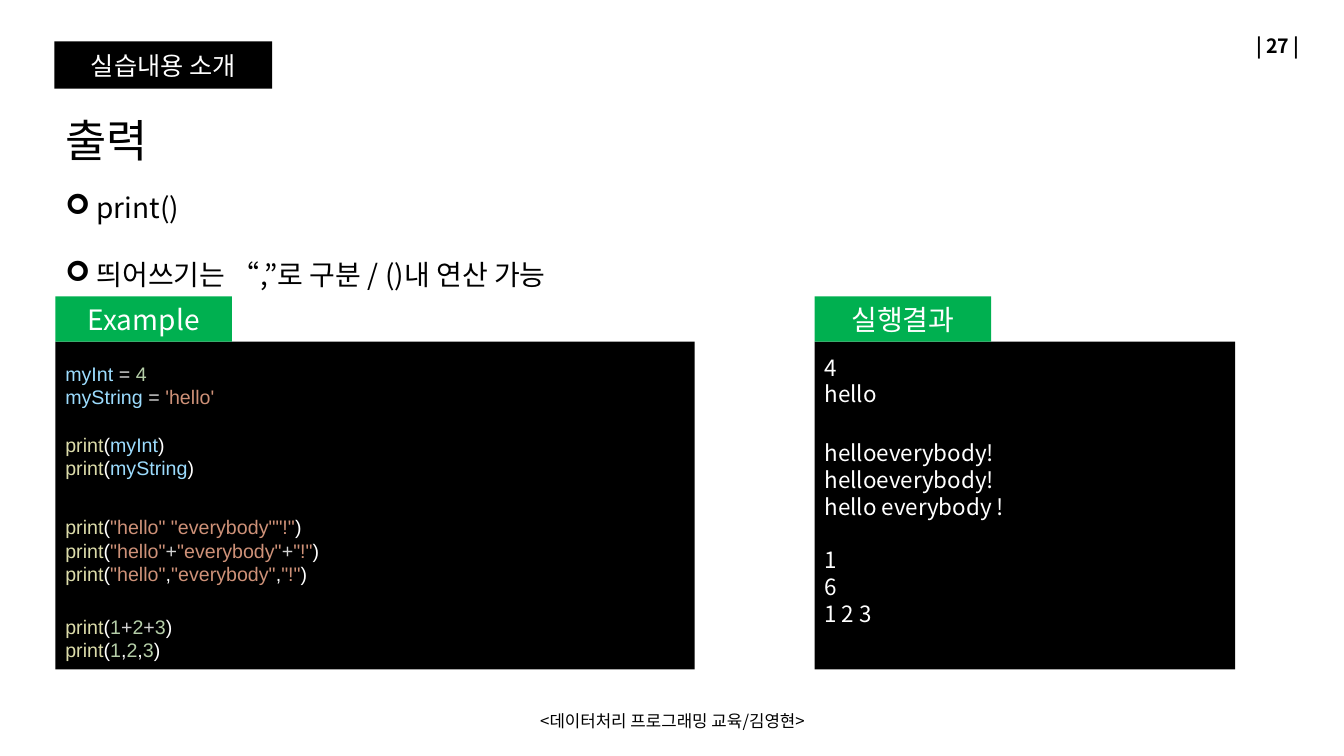
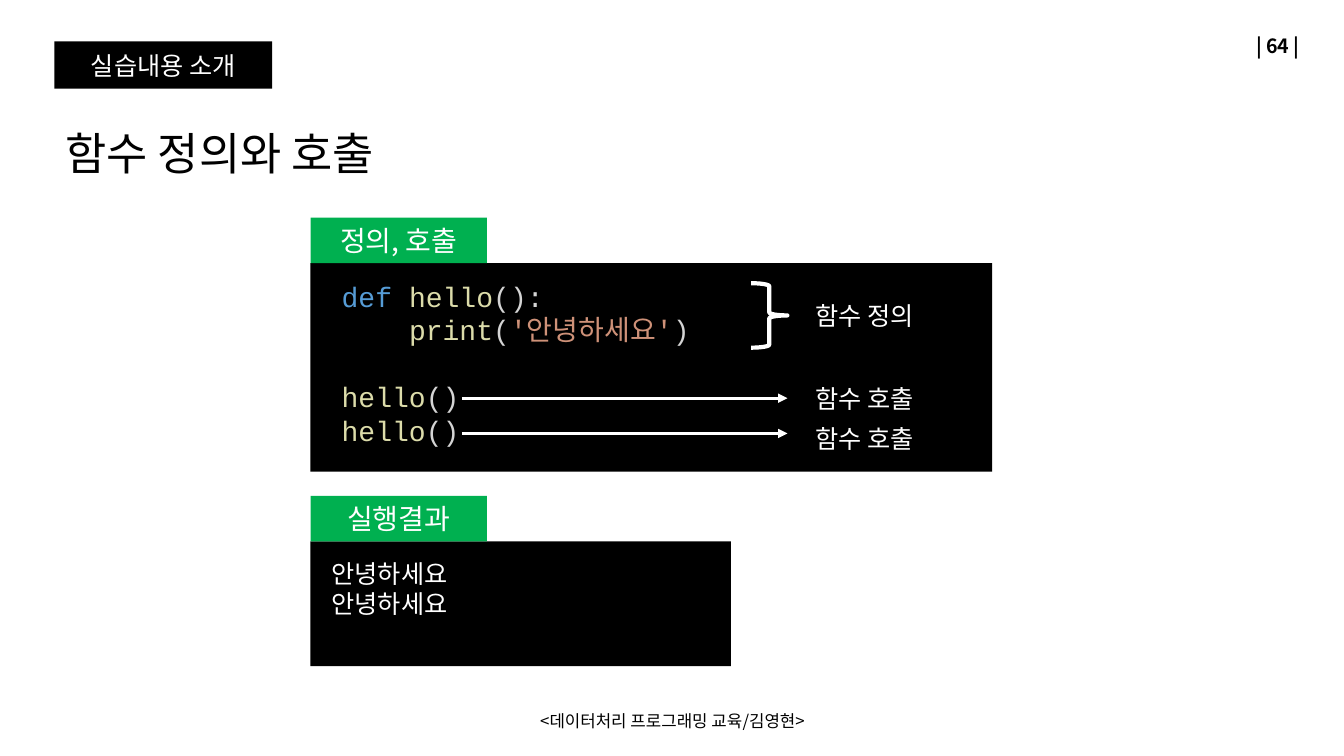
import lxml.etree
import pptx
import pptx.dml.color
import pptx.enum.shapes
import pptx.enum.text
import pptx.oxml.ns
import pptx.util

Inches = pptx.util.Inches
Pt = pptx.util.Pt
RGBColor = pptx.dml.color.RGBColor
Align = pptx.enum.text.PP_ALIGN
Anchor = pptx.enum.text.MSO_ANCHOR
Shape = pptx.enum.shapes.MSO_SHAPE
qn = pptx.oxml.ns.qn

BLACK = RGBColor(0x00, 0x00, 0x00)
WHITE = RGBColor(0xFF, 0xFF, 0xFF)
GREEN = RGBColor(0x00, 0xB0, 0x50)
VARIABLE = RGBColor(0x9C, 0xDC, 0xFE)
OPERATOR = RGBColor(0xD4, 0xD4, 0xD4)
NUMBER = RGBColor(0xB5, 0xCE, 0xA8)
STRING = RGBColor(0xCE, 0x91, 0x78)
FUNCTION = RGBColor(0xDC, 0xDC, 0xAA)
KEYWORD = RGBColor(0x56, 0x9C, 0xD6)

SANS = "Noto Sans CJK KR"
LINE_HEIGHT = 1.2
MARGIN = 0.55
TAB_WIDTH, TAB_HEIGHT = 1.75, 0.45


def add_bullet(paragraph):
    """Give a paragraph a hanging arrowhead bullet."""
    properties = paragraph._p.get_or_add_pPr()
    properties.set("marL", str(Inches(0.31)))
    properties.set("indent", str(-Inches(0.31)))
    lxml.etree.SubElement(properties, qn("a:buFont"), typeface="Wingdings")
    lxml.etree.SubElement(properties, qn("a:buChar"), char="➢")


def write(frame, blocks, size, color, font=SANS, align=Align.LEFT, bold=False,
          bullets=False, spacing=None):
    """Write blocks of lines, one empty line's height apart."""
    rows = [(line, block > 0 and row == 0)
            for block, lines in enumerate(blocks) for row, line in enumerate(lines)]
    for index, (line, starts_block) in enumerate(rows):
        paragraph = frame.paragraphs[0] if index == 0 else frame.add_paragraph()
        paragraph.alignment = align
        if spacing:
            paragraph.line_spacing = spacing
        if starts_block:
            paragraph.space_before = Pt(round(size * LINE_HEIGHT))
        if bullets:
            add_bullet(paragraph)
        paragraph.font.name = font
        paragraph.font.size = Pt(size)
        paragraph.font.bold = bold
        paragraph.font.color.rgb = color
        for text, run_color in [(line, None)] if isinstance(line, str) else line:
            run = paragraph.add_run()
            run.text = text
            if run_color is not None:
                run.font.color.rgb = run_color


def add_text(slide, box, blocks, size, color, anchor=Anchor.TOP, **style):
    """Place wrapped text in a box."""
    frame = slide.shapes.add_textbox(*map(Inches, box)).text_frame
    frame.word_wrap = True
    frame.vertical_anchor = anchor
    write(frame, blocks, size, color, **style)


def add_block(slide, box, fill, label=None, size=20):
    """Place a filled rectangle with an optional centred label."""
    block = slide.shapes.add_shape(Shape.RECTANGLE, *map(Inches, box))
    block.shadow.inherit = False
    block.fill.solid()
    block.fill.fore_color.rgb = fill
    block.line.fill.background()
    if label:
        block.text_frame.vertical_anchor = Anchor.MIDDLE
        write(block.text_frame, [[label]], size, WHITE, align=Align.CENTER)


def add_panel(slide, box, label):
    """Place a black panel with a green tab on its top left edge."""
    left, top, width, height = box
    add_block(slide, box, BLACK)
    add_block(slide, (left, top - TAB_HEIGHT, TAB_WIDTH, TAB_HEIGHT), GREEN, label)


def add_frame(presentation, number, title, title_top):
    """Add a slide with its page number, section band, title and footer."""
    slide = presentation.slides.add_slide(presentation.slide_layouts[6])
    add_text(slide, (9.99, 0.25, 3, 0.4), [[f"| {number} |"]], 14, BLACK,
             Anchor.MIDDLE, align=Align.RIGHT, bold=True)
    add_block(slide, (MARGIN - 0.01, 0.41, 2.16, 0.47), BLACK, "실습내용 소개", 18)
    add_text(slide, (MARGIN, title_top, 9.73, 0.71), [[title]], 32, BLACK, Anchor.BOTTOM)
    add_text(slide, (4.42, 6.95, 4.5, 0.4), [["<데이터처리 프로그래밍 교육/김영현>"]], 12, BLACK,
             Anchor.MIDDLE, align=Align.CENTER)
    return slide


def print_call(*arguments, bracket=WHITE):
    """Return the coloured parts of a print call."""
    return [("print", FUNCTION), ("(", bracket), *arguments, (")", bracket)]


def add_print_code(slide, box):
    """Place the print example inside its panel."""
    left, top, width, height = box
    add_panel(slide, box, "Example")
    hello, everybody, mark = [(word, STRING) for word in ('"hello"', '"everybody"', '"!"')]
    one, two, three = [(digit, NUMBER) for digit in "123"]
    plus, comma = ("+", OPERATOR), (",", WHITE)
    assignments = [
        [("myInt ", VARIABLE), ("= ", OPERATOR), ("4", NUMBER)],
        [("myString ", VARIABLE), ("= ", OPERATOR), ("'hello'", STRING)],
    ]
    variables = [print_call((name, VARIABLE)) for name in ("myInt", "myString")]
    strings = [
        print_call(('"hello" "everybody""!"', STRING)),
        print_call(hello, plus, everybody, plus, mark),
        print_call(hello, comma, everybody, comma, mark),
    ]
    numbers = [print_call(one, sign, two, sign, three) for sign in (plus, comma)]
    for offset, part_height, blocks in (
            (0.15, 1.28, [assignments, variables]),
            (1.67, 1.04, [strings]),
            (2.66, 0.57, [numbers])):
        add_text(slide, (left, top + offset, width, part_height), blocks, 14, WHITE,
                 font="Arial")


def add_print_result(slide, box):
    """Place the output of the print example inside its panel."""
    left, top, width, height = box
    add_panel(slide, box, "실행결과")
    add_text(slide, (left, top + 0.07, 3.54, 0.64), [["4", "hello"]], 16, WHITE)
    add_text(slide, (left, top + 0.92, 3.54, 1.99),
             [["helloeverybody!", "helloeverybody!", "hello everybody !"],
              ["1", "6", "1 2 3"]], 16, WHITE)


def add_arrow(slide, left, right, y):
    """Draw a white horizontal arrow pointing right."""
    arrow = slide.shapes.add_connector(
        pptx.enum.shapes.MSO_CONNECTOR.STRAIGHT, *map(Inches, (left, y, right, y)))
    arrow.line.color.rgb = WHITE
    arrow.line.width = Pt(2.25)
    lxml.etree.SubElement(arrow.line._get_or_add_ln(), qn("a:tailEnd"), type="triangle")
    lxml.etree.SubElement(arrow._element.spPr, qn("a:effectLst"))


def add_function_code(slide, box):
    """Place the function example with its annotations inside its panel."""
    left, top, width, height = box
    add_panel(slide, box, "정의, 호출")
    call = [("hello", FUNCTION), ("()", OPERATOR)]
    definition = [
        [("def ", KEYWORD), ("hello", FUNCTION), ("():", OPERATOR)],
        [("    ", OPERATOR), *print_call(("'안녕하세요'", STRING), bracket=OPERATOR)],
    ]
    add_text(slide, (left + 0.21, top + 0.11, 5.28, 1.9), [definition, [call, call]],
             20, OPERATOR, font="Courier New")
    brace = slide.shapes.add_shape(
        Shape.RIGHT_BRACE, *map(Inches, (left + 4.37, top + 0.2, 0.36, 0.64)))
    brace.shadow.inherit = False
    brace.fill.background()
    brace.line.color.rgb = WHITE
    brace.line.width = Pt(3)
    for offset, note in ((0.32, "함수 정의"), (1.14, "함수 호출"), (1.54, "함수 호출")):
        add_text(slide, (left + 4.91, top + offset, 1.84, 0.4), [[note]], 18, WHITE)
    for offset in (1.34, 1.69):
        add_arrow(slide, left + 1.5, left + 4.73, top + offset)


def add_function_result(slide, box):
    """Place the output of the function example inside its panel."""
    left, top, width, height = box
    add_panel(slide, box, "실행결과")
    add_text(slide, (left + 0.11, top + 0.12, 4.06, 0.71), [["안녕하세요"] * 2], 18, WHITE)


def add_print_slide(presentation):
    """Add the slide on printing."""
    slide = add_frame(presentation, 27, "출력", 0.99)
    add_print_code(slide, (MARGIN, 3.39, 6.34, 3.25))
    add_print_result(slide, (8.08, 3.39, 4.17, 3.25))
    add_text(slide, (MARGIN, 1.51, 6.8, 1.36),
             [["print()", "띄어쓰기는 “,”로 구분 / ()내 연산 가능"]], 20, BLACK,
             bullets=True, spacing=2.0)


def add_function_slide(presentation):
    """Add the slide on defining and calling functions."""
    slide = add_frame(presentation, 64, "함수 정의와 호출", 1.12)
    add_function_code(slide, (3.08, 2.61, 6.76, 2.07))
    add_function_result(slide, (3.08, 5.37, 4.17, 1.24))


def main():
    """Build and save the presentation."""
    presentation = pptx.Presentation()
    presentation.slide_width = Inches(13.33)
    presentation.slide_height = Inches(7.5)
    add_print_slide(presentation)
    add_function_slide(presentation)
    presentation.save("out.pptx")


if __name__ == "__main__":
    main()
